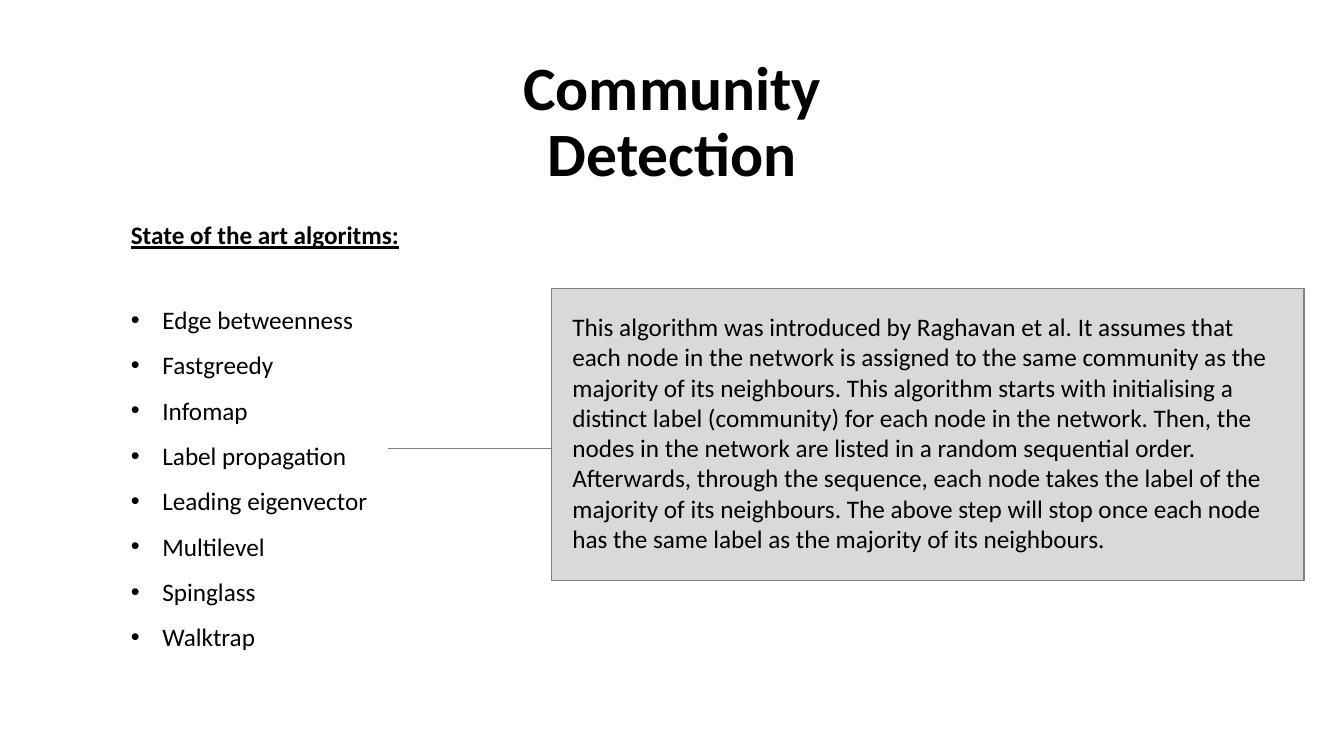
from lxml import etree
from pptx import Presentation, util as u
from pptx.dml.color import RGBColor
from pptx.enum import shapes, text
from pptx.oxml.ns import qn

COLORS = {"text": "000000", "panel": "D9D9D9", "line": "808080"}
ALGORITHMS = ["Edge betweenness", "Fastgreedy", "Infomap", "Label propagation",
              "Leading eigenvector", "Multilevel", "Spinglass", "Walktrap"]
DESCRIPTION = (
    "This algorithm was introduced by Raghavan et al. It assumes that each node "
    "in the network is assigned to the same community as the majority of its "
    "neighbours. This algorithm starts with initialising a distinct label "
    "(community) for each node in the network. Then, the nodes in the network are "
    "listed in a random sequential order. Afterwards, through the sequence, each "
    "node takes the label of the majority of its neighbours. The above step will "
    "stop once each node has the same label as the majority of its neighbours.")


class Deck:
    font = "Calibri"
    size = 18
    indent = 22.5

    def __init__(self, width, height):
        self.prs = Presentation()
        self.prs.slide_width, self.prs.slide_height = u.Pt(width), u.Pt(height)
        self.s = self.prs.slides.add_slide(self.prs.slide_layouts[6])

    def color(self, name):
        return RGBColor.from_string(COLORS[name])

    def outline(self, sp, width):
        sp.line.color.rgb = self.color("line")
        sp.line.width = u.Pt(width)

    def line(self, x1, y1, x2, y2, width):
        sp = self.s.shapes.add_connector(
            shapes.MSO_CONNECTOR.STRAIGHT, *map(u.Pt, (x1, y1, x2, y2)))
        self.outline(sp, width)
        etree.SubElement(sp._element.spPr, qn("a:effectLst"))

    def panel(self, x, y, w, h):
        sp = self.s.shapes.add_shape(
            shapes.MSO_SHAPE.RECTANGLE, *map(u.Pt, (x, y, w, h)))
        sp.shadow.inherit = False
        sp.fill.solid()
        sp.fill.fore_color.rgb = self.color("panel")
        self.outline(sp, 1)

    def bullet(self, p):
        pPr = p._p.get_or_add_pPr()
        pPr.set("marL", str(u.Pt(self.indent)))
        pPr.set("indent", str(-u.Pt(self.indent)))
        etree.SubElement(pPr, qn("a:buFont"), typeface="Arial")
        etree.SubElement(pPr, qn("a:buChar"), char="•")

    def text(self, x, y, w, h, lines, size=None, bold=False, underline=False,
             wrap=True, grow=True, spacing=None, align=None, bullets=False):
        tf = self.s.shapes.add_textbox(*map(u.Pt, (x, y, w, h))).text_frame
        tf.text = "\n".join(lines)
        tf.word_wrap = wrap
        if grow:
            tf.auto_size = text.MSO_AUTO_SIZE.SHAPE_TO_FIT_TEXT
        else:
            tf.vertical_anchor = text.MSO_ANCHOR.MIDDLE
        for p in tf.paragraphs:
            if bullets:
                self.bullet(p)
            p.alignment = align
            p.line_spacing = spacing
            for r in p.runs:
                r.font.name = self.font
                r.font.size = u.Pt(size or self.size)
                r.font.bold = bold
                r.font.underline = underline
                r.font.color.rgb = self.color("text")


def main():
    d = Deck(960, 540)
    d.line(277.2, 320.4, 406.8, 320.4, 0.5)
    d.panel(393.8, 205.9, 537.8, 208.8)
    d.text(277.2, 36, 406, 104.4, ["Community Detection"], size=44, bold=True,
           grow=False, spacing=0.9, align=text.PP_ALIGN.CENTER)
    d.text(86.4, 203, 185.8, 265.7, ALGORITHMS, wrap=False, spacing=1.5, bullets=True)
    d.text(86.4, 153.4, 208, 29, ["State of the art algoritms:"], bold=True,
           underline=True, wrap=False)
    d.text(401.8, 218.9, 516.2, 181.4, [DESCRIPTION])
    d.prs.save("out.pptx")


if __name__ == "__main__":
    main()
